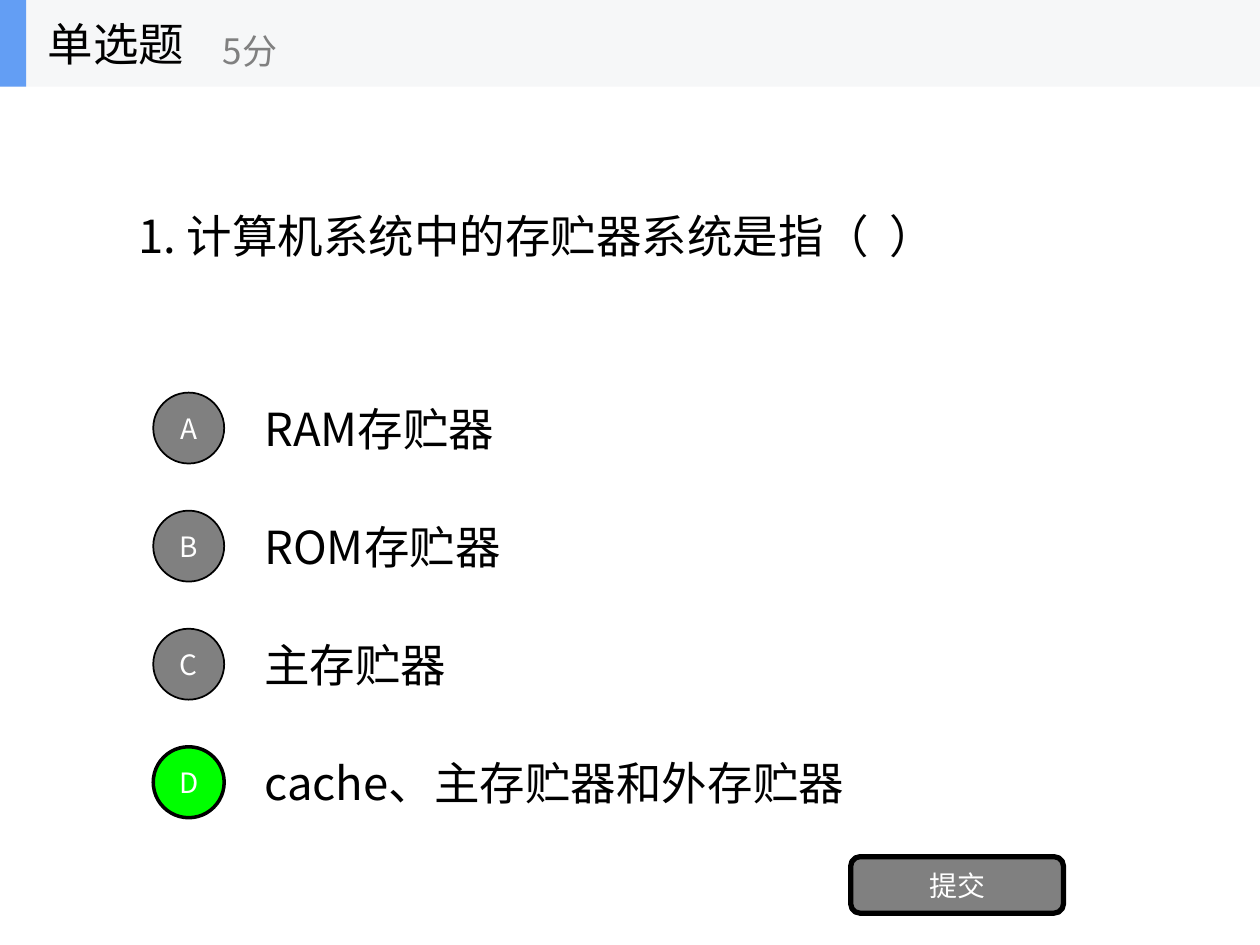
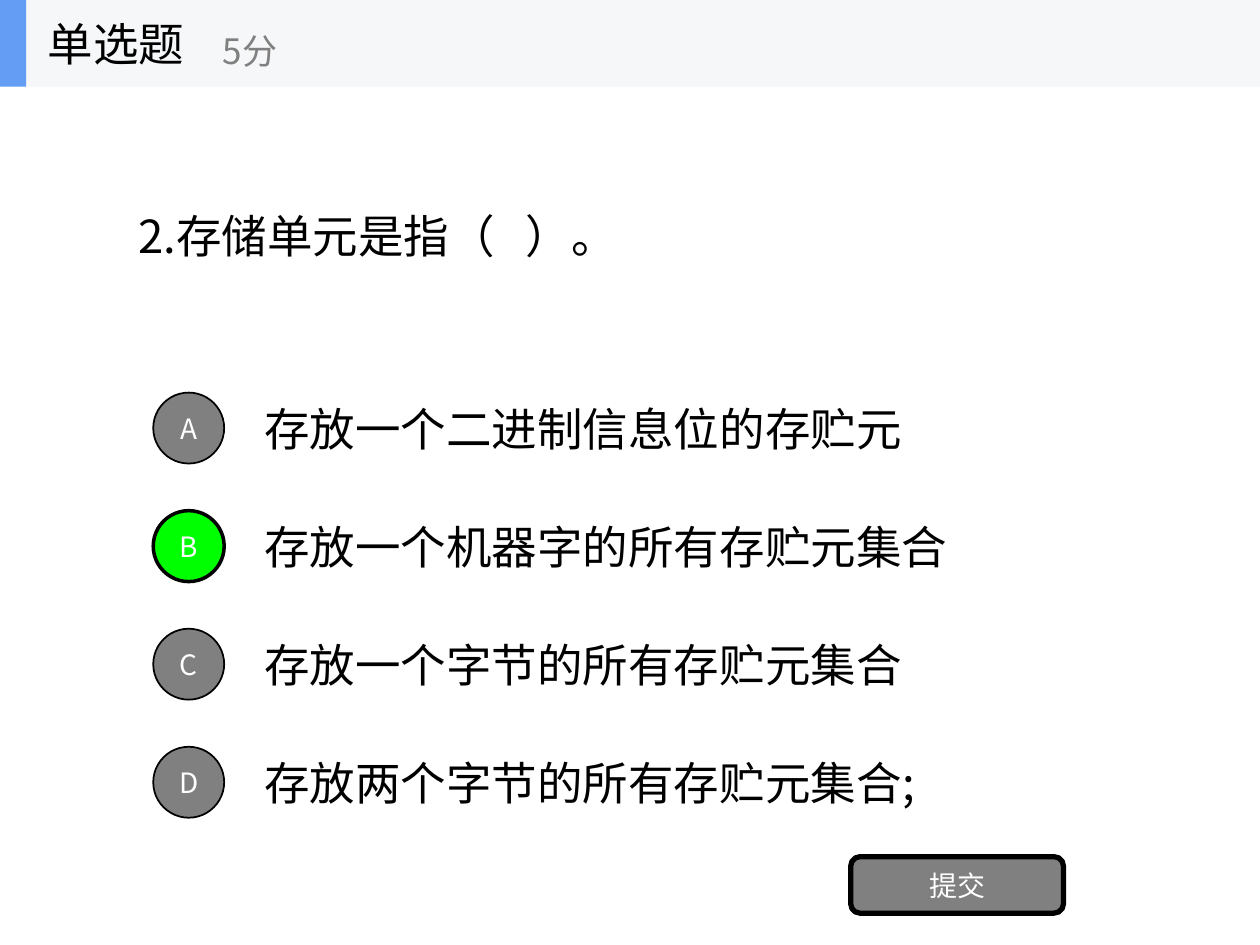
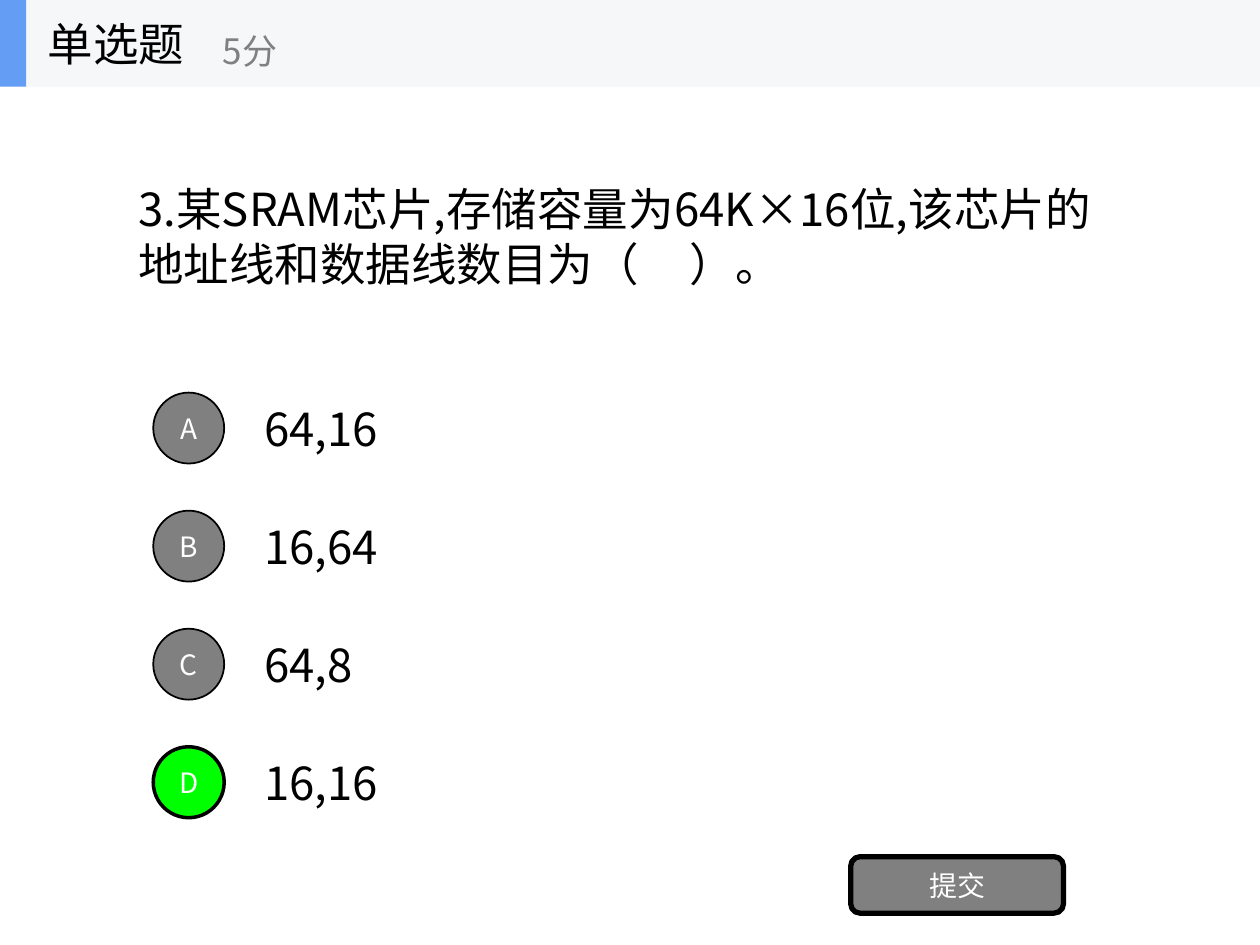
from pptx import Presentation
from pptx.dml.color import RGBColor
from pptx.enum import shapes, text
from pptx.oxml.ns import qn
from pptx.util import Cm, Pt

FONT = "Noto Sans CJK SC"
BLACK = RGBColor(0x00, 0x00, 0x00)
WHITE = RGBColor(0xFF, 0xFF, 0xFF)
GREY = RGBColor(0x80, 0x80, 0x80)
GREEN = RGBColor(0x00, 0xFF, 0x00)
BLUE = RGBColor(0x63, 0x9E, 0xF4)
BAND = RGBColor(0xF6, 0xF7, 0xF8)

WIDTH, HEIGHT = 25.4, 19.05
BAND_HEIGHT = 1.75
LINE_HEIGHT = 1.37
QUESTION_MIDDLE = 4.75
OPTION_MIDDLE, OPTION_PITCH = 8.63, 2.38
CIRCLE = 1.43

# question, width, height, correct letter, options with their widths
QUIZ = [
    ("1. 计算机系统中的存贮器系统是指（  ）", 18.57, LINE_HEIGHT, "D",
     [("RAM存贮器", 5.66), ("ROM存贮器", 5.77), ("主存贮器", 4.45),
      ("cache、主存贮器和外存贮器", 12.48)]),
    ("2.存储单元是指（   ）。", 12.75, LINE_HEIGHT, "B",
     [("存放一个二进制信息位的存贮元", 13.61),
      ("存放一个机器字的所有存贮元集合", 14.53),
      ("存放一个字节的所有存贮元集合", 13.61),
      ("存放两个字节的所有存贮元集合;", 13.9)]),
    ("3.某SRAM芯片,存储容量为64K×16位,该芯片的地址线和数据线数目为（     ）。",
     19.71, 2.46, "D",
     [("64,16", 3.15), ("16,64", 3.15), ("64,8", 2.62), ("16,16", 4.34)]),
]


def write(sp, words, size=26, color=BLACK, align=text.PP_ALIGN.LEFT, wrap=True):
    tf = sp.text_frame
    tf.word_wrap = wrap
    tf.auto_size = text.MSO_AUTO_SIZE.NONE
    tf.vertical_anchor = text.MSO_ANCHOR.MIDDLE
    p = tf.paragraphs[0]
    p.alignment = align
    r = p.add_run()
    r.text = words
    r.font.size = Pt(size)
    r.font.name = FONT
    r.font.color.rgb = color
    east_asian = r.font._element.makeelement(qn("a:ea"), {"typeface": FONT})
    r.font._element.find(qn("a:latin")).addnext(east_asian)


class QuizDeck:
    def __init__(self):
        self.prs = Presentation()
        self.prs.slide_width, self.prs.slide_height = Cm(WIDTH), Cm(HEIGHT)
        self.s = None

    def add_slide(self):
        self.s = self.prs.slides.add_slide(self.prs.slide_layouts[5])

    def label(self, words, x, y, w, h, **style):
        sp = self.s.shapes.add_textbox(Cm(x), Cm(y), Cm(w), Cm(h))
        write(sp, words, **style)

    def shape(self, kind, x, y, w, h, fill, border=0, words=""):
        sp = self.s.shapes.add_shape(kind, Cm(x), Cm(y), Cm(w), Cm(h))
        sp.shadow.inherit = False
        sp.fill.solid()
        sp.fill.fore_color.rgb = fill
        if border:
            sp.line.color.rgb = BLACK
            sp.line.width = Pt(border)
        else:
            sp.line.fill.background()
        if words:
            write(sp, words, size=16, color=WHITE, align=text.PP_ALIGN.CENTER)

    def header(self, title, points):
        for width, color in ((WIDTH, BAND), (0.53, BLUE)):
            self.shape(shapes.MSO_SHAPE.RECTANGLE, 0, 0, width, BAND_HEIGHT, color)
        sp = self.s.shapes.title
        sp.left, sp.top, sp.width, sp.height = Cm(0.71), Cm(0), Cm(5.28), Cm(BAND_HEIGHT)
        write(sp, title, wrap=False)
        self.s.shapes._spTree.append(sp._element)  # in front of the band
        self.label(points, 4.24, 0.3, 6.35, 1.43, size=20, color=GREY, wrap=False)

    def question(self, words, width, height):
        self.label(words, 2.54, QUESTION_MIDDLE - height / 2, width, height)

    def option(self, row, letter, words, width, correct):
        middle = OPTION_MIDDLE + row * OPTION_PITCH
        self.label(words, 5.08, middle - LINE_HEIGHT / 2, width, LINE_HEIGHT)
        self.shape(shapes.MSO_SHAPE.OVAL, 3.09, middle - CIRCLE / 2, CIRCLE, CIRCLE,
                   GREEN if correct else GREY, border=2 if correct else 1, words=letter)

    def submit_button(self):
        self.shape(shapes.MSO_SHAPE.ROUNDED_RECTANGLE, 17.15, 17.27, 4.29, 1.14,
                   GREY, border=3, words="提交")


def main():
    deck = QuizDeck()
    for question, width, height, answer, options in QUIZ:
        deck.add_slide()
        deck.question(question, width, height)
        for row, (letter, (words, option_width)) in enumerate(zip("ABCD", options)):
            deck.option(row, letter, words, option_width, letter == answer)
        deck.submit_button()
        deck.header("单选题", "5分")
    deck.prs.save("out.pptx")


if __name__ == "__main__":
    main()
